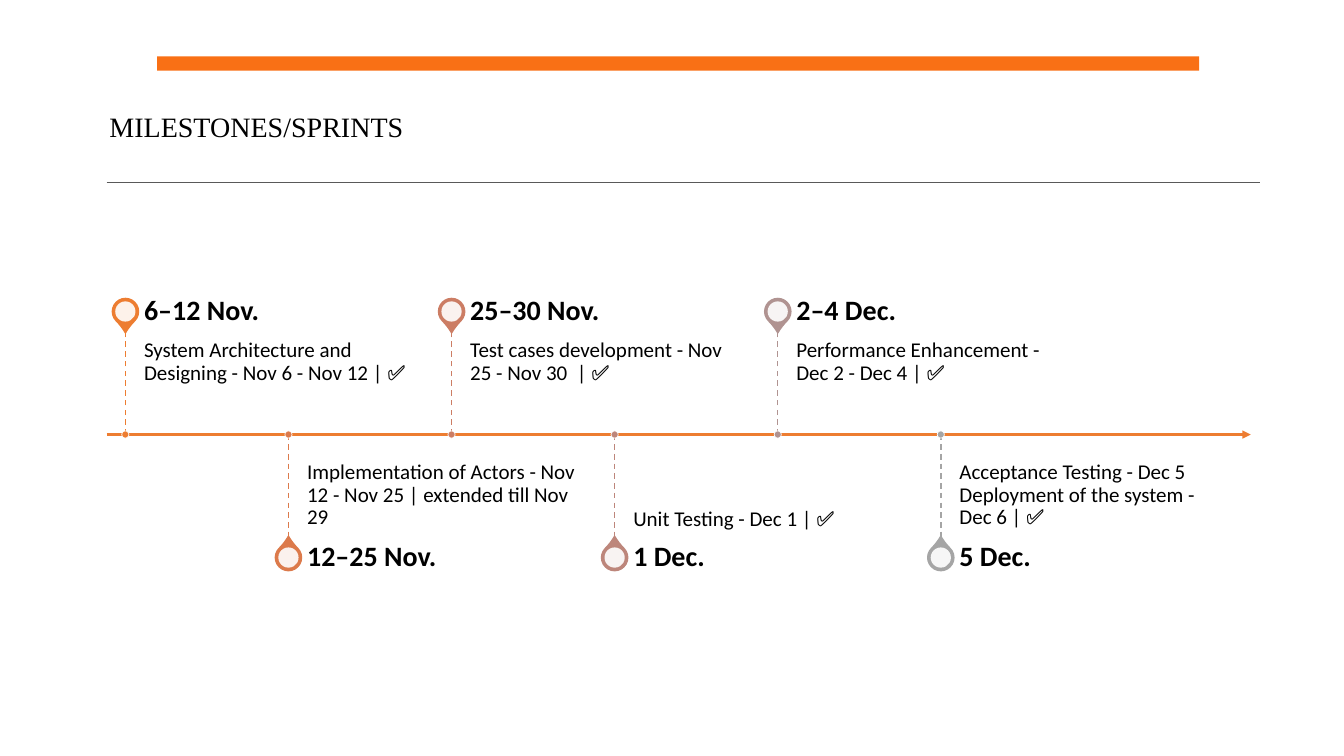
from lxml.etree import SubElement
from pptx import Presentation
from pptx.dml.color import RGBColor
from pptx.enum.dml import MSO_LINE
from pptx.enum.shapes import MSO_CONNECTOR, MSO_SHAPE
from pptx.enum.text import MSO_ANCHOR
from pptx.oxml.ns import qn
from pptx.util import Cm, Pt

BLACK = RGBColor(0x00, 0x00, 0x00)
WHITE = RGBColor(0xFF, 0xFF, 0xFF)
GREY = RGBColor(0x59, 0x59, 0x59)
BANNER = RGBColor(0xF9, 0x70, 0x15)
ORANGE = RGBColor(0xED, 0x7D, 0x31)
COPPER = RGBColor(0xDC, 0x7A, 0x4B)
CLAY = RGBColor(0xCC, 0x7D, 0x64)
ROSE = RGBColor(0xBD, 0x86, 0x7B)
MAUVE = RGBColor(0xB0, 0x93, 0x91)
SILVER = RGBColor(0xA5, 0xA5, 0xA5)

AXIS_Y = 10.95
FIRST_X = 3.16
STEP_X = 4.11
STEM = 2.64
PIN_OFFSET = 3.1
PIN_SIZE = 0.66
HOLE_SIZE = 0.51
DOT_SIZE = 0.18
TEXT_GAP = 0.47
TEXT_WIDTH = 6.86
DATE_HEIGHT = 0.94

MILESTONES = [
    ("6–12 Nov.", "System Architecture and Designing - Nov 6 - Nov 12 | ✅", ORANGE),
    ("12–25 Nov.", "Implementation of Actors - Nov 12 - Nov 25 | extended till Nov 29", COPPER),
    ("25–30 Nov.", "Test cases development - Nov 25 - Nov 30  | ✅", CLAY),
    ("1 Dec.", "Unit Testing - Dec 1 | ✅", ROSE),
    ("2–4 Dec.", "Performance Enhancement - Dec 2 - Dec 4 | ✅", MAUVE),
    ("5 Dec.", "Acceptance Testing - Dec 5 Deployment of the system - Dec 6 | ✅", SILVER),
]


class TimelinePage:
    """Draws the elements of a milestone timeline on one slide."""

    def __init__(self, page, font="Calibri"):
        self.shapes = page.shapes
        self.font = font

    def shape(self, kind, left, top, width, height, fill, outline=None, weight=1):
        shape = self.shapes.add_shape(kind, Cm(left), Cm(top), Cm(width), Cm(height))
        shape.shadow.inherit = False
        shape.fill.solid()
        shape.fill.fore_color.rgb = fill
        if outline is None:
            shape.line.fill.background()
        else:
            shape.line.color.rgb = outline
            shape.line.width = Pt(weight)
        return shape

    def centred(self, kind, x, y, size, fill, outline=None, weight=1):
        return self.shape(kind, x - size / 2, y - size / 2, size, size, fill, outline, weight)

    def line(self, start, end, color, weight, dashed=False, arrow=False):
        points = [Cm(value) for value in (*start, *end)]
        line = self.shapes.add_connector(MSO_CONNECTOR.STRAIGHT, *points)
        line.line.color.rgb = color
        line.line.width = Pt(weight)
        if dashed:
            line.line.dash_style = MSO_LINE.DASH
        properties = line._element.spPr
        if arrow:
            SubElement(properties.find(qn("a:ln")), qn("a:tailEnd"), type="triangle")
        SubElement(properties, qn("a:effectLst"))

    def text(self, words, left, top, width, height, size, insets,
             anchor=MSO_ANCHOR.MIDDLE, bold=False, font=None):
        box = self.shapes.add_textbox(Cm(left), Cm(top), Cm(width), Cm(height))
        frame = box.text_frame
        frame.word_wrap = True
        frame.vertical_anchor = anchor
        (frame.margin_left, frame.margin_top,
         frame.margin_right, frame.margin_bottom) = [Cm(inset) for inset in insets]
        frame.text = words
        para = frame.paragraphs[0]
        para.line_spacing = 0.9
        span = para.runs[0]
        span.font.name = font or self.font
        span.font.size = Pt(size)
        span.font.bold = bold
        span.font.color.rgb = BLACK

    def pin(self, x, y, rotation, color):
        drop = self.centred(MSO_SHAPE.TEAR, x, y, PIN_SIZE, color, color)
        drop.adjustments[0] = 1.15
        drop.rotation = rotation
        hole = self.centred(MSO_SHAPE.OVAL, x, y, HOLE_SIZE, WHITE)
        tint = hole._element.spPr.find(qn("a:solidFill"))[0]
        SubElement(tint, qn("a:alpha"), val="90000")

    def milestone(self, x, above, date, task, color):
        side = -1 if above else 1
        pin_y = AXIS_Y + side * PIN_OFFSET
        self.pin(x, pin_y, 135 if above else 315, color)
        left = x + TEXT_GAP
        if above:
            top, insets, anchor = AXIS_Y - STEM, (0, 0.25, 0.25, 0.41), MSO_ANCHOR.TOP
        else:
            top, insets, anchor = AXIS_Y, (0, 0.41, 0, 0.25), MSO_ANCHOR.BOTTOM
        self.text(task, left, top, TEXT_WIDTH, STEM, 15, insets, anchor)
        self.text(date, left, pin_y - DATE_HEIGHT / 2, TEXT_WIDTH, DATE_HEIGHT,
                  20, (0, 0, 0.36, 0), bold=True)
        self.line((x, AXIS_Y), (x, AXIS_Y + side * STEM), color, 1, dashed=True)
        self.centred(MSO_SHAPE.OVAL, x, AXIS_Y, DOT_SIZE, color, WHITE, 0.5)


def main():
    deck = Presentation()
    deck.slide_width, deck.slide_height = Cm(33.87), Cm(19.05)
    page = TimelinePage(deck.slides.add_slide(deck.slide_layouts[6]))
    page.text("MILESTONES/SPRINTS", 2.51, 2.46, 28.27, 1.55, 20,
              (0.25, 0.13, 0.25, 0.13), font="Times New Roman")
    page.shape(MSO_SHAPE.RECTANGLE, 3.96, 1.42, 26.26, 0.36, BANNER)
    page.line((2.69, AXIS_Y), (31.52, AXIS_Y), ORANGE, 1.5, arrow=True)
    for index, (date, task, color) in enumerate(MILESTONES):
        page.milestone(FIRST_X + index * STEP_X, index % 2 == 0, date, task, color)
    page.line((2.69, 4.6), (31.75, 4.6), GREY, 0.5)
    deck.save("out.pptx")


if __name__ == "__main__":
    main()
